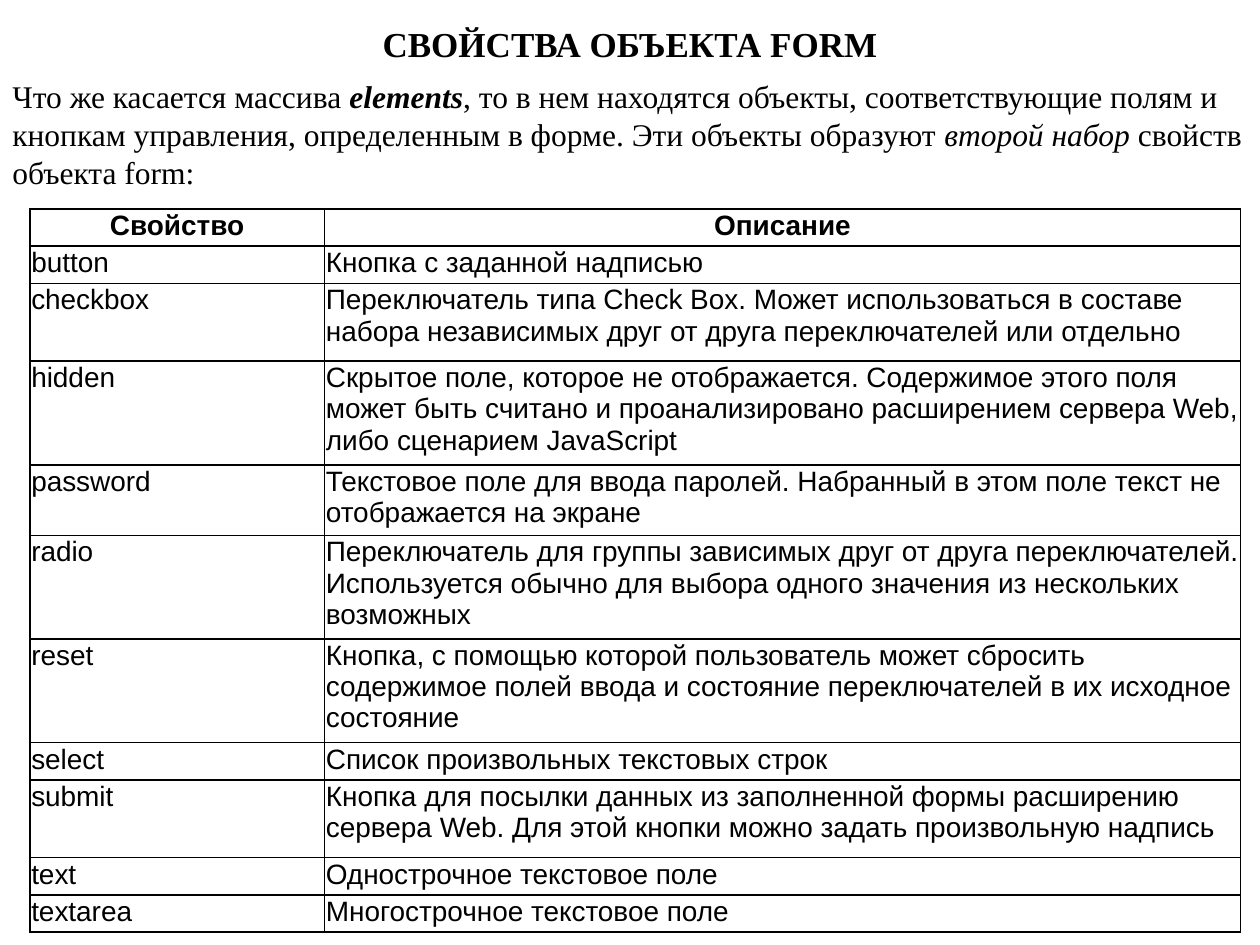
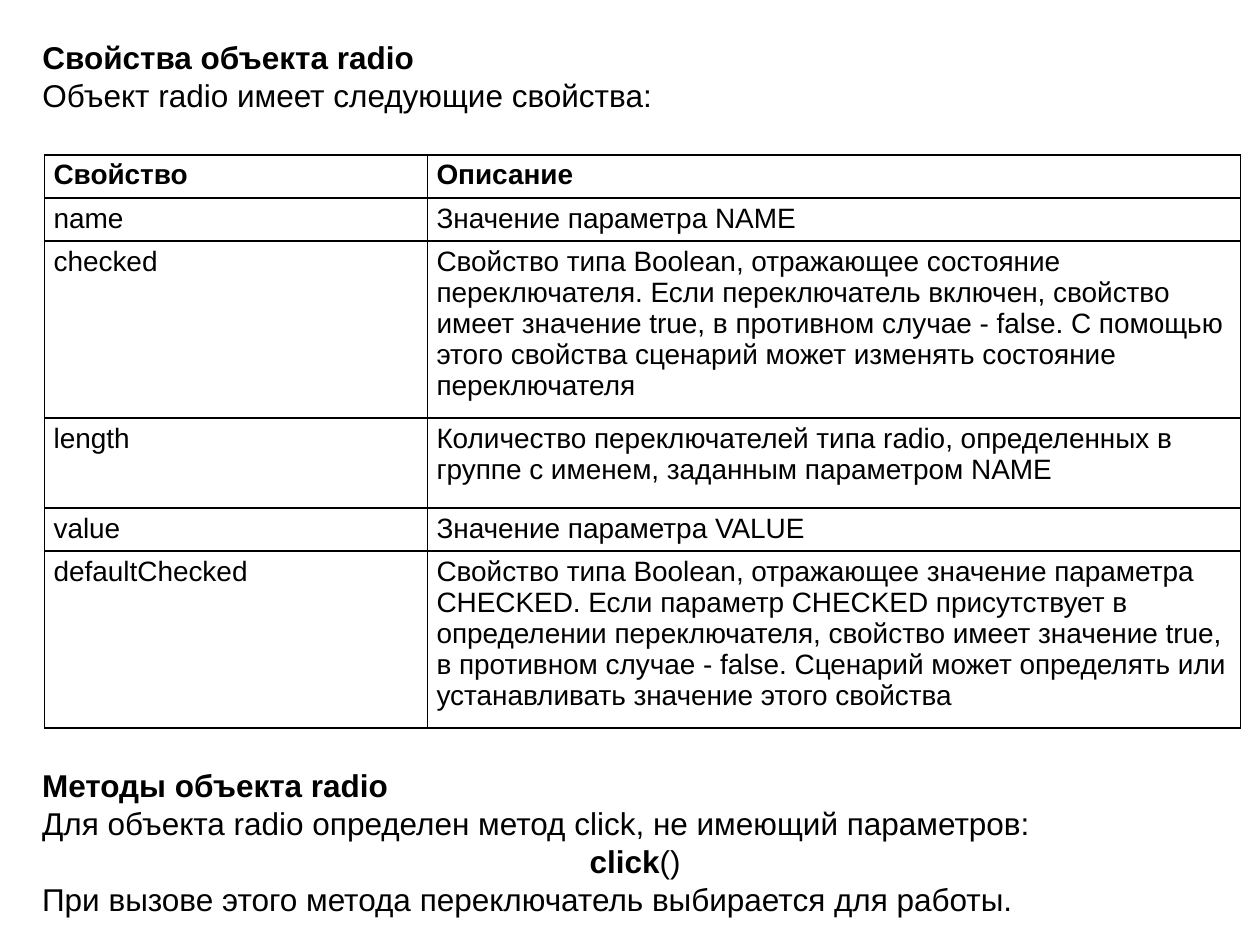
"""Build two slides on the properties of the form and radio objects."""
from lxml.etree import SubElement
from pptx import Presentation
from pptx.dml.color import RGBColor as RGB
from pptx.enum.text import MSO_ANCHOR as Anchor, MSO_AUTO_SIZE as AutoSize, PP_ALIGN as Align
from pptx.oxml.ns import qn
from pptx.util import Cm, Pt

COLORS = {"text": "000000", "border": "000000", "page": "FFFFFF"}
SERIF, SANS = "Times New Roman", "Arial"
TITLE_ONLY = 5

FORM_ROWS = [
    ("Свойство", "Описание"),
    ("button", "Кнопка с заданной надписью"),
    ("checkbox", "Переключатель типа Check Box. Может использоваться в составе набора "
                 "независимых друг от друга переключателей или отдельно"),
    ("hidden", "Скрытое поле, которое не отображается. Содержимое этого поля может быть "
               "считано и проанализировано расширением сервера Web, либо сценарием JavaScript"),
    ("password", "Текстовое поле для ввода паролей. Набранный в этом поле текст "
                 "не отображается на экране"),
    ("radio", "Переключатель для группы зависимых друг от друга переключателей. "
              "Используется обычно для выбора одного значения из нескольких возможных"),
    ("reset", "Кнопка, с помощью которой пользователь может сбросить содержимое полей ввода "
              "и состояние переключателей в их исходное состояние"),
    ("select", "Список произвольных текстовых строк"),
    ("submit", "Кнопка для посылки данных из заполненной формы расширению сервера Web. "
               "Для этой кнопки можно задать произвольную надпись"),
    ("text", "Однострочное текстовое поле"),
    ("textarea", "Многострочное текстовое поле"),
]
RADIO_ROWS = [
    ("Свойство", "Описание"),
    ("name", "Значение параметра NAME"),
    ("checked", "Свойство типа Boolean, отражающее состояние переключателя. Если переключатель "
                "включен, свойство имеет значение true, в противном случае - false. С помощью "
                "этого свойства сценарий может изменять состояние переключателя"),
    ("length", "Количество переключателей типа radio, определенных в группе с именем, "
               "заданным параметром NAME"),
    ("value", "Значение параметра VALUE"),
    ("defaultChecked", "Свойство типа Boolean, отражающее значение параметра CHECKED. Если "
                       "параметр CHECKED присутствует в определении переключателя, свойство "
                       "имеет значение true, в противном случае - false. Сценарий может "
                       "определять или устанавливать значение этого свойства"),
]


class Deck:
    """Hold the presentation, its style and the current slide."""

    def __init__(self):
        self.prs = Presentation()
        self.prs.slide_width, self.prs.slide_height = Cm(25.4), Cm(19.05)
        self.slide = None

    def new_slide(self):
        self.slide = self.prs.slides.add_slide(self.prs.slide_layouts[TITLE_ONLY])
        fill = self.slide.background.fill
        fill.solid()
        fill.fore_color.rgb = RGB.from_string(COLORS["page"])

    def paragraph(self, p, runs, size, font, align=Align.LEFT):
        p.alignment = align
        p.font.size, p.font.name = Pt(size), font
        p.font.color.rgb = RGB.from_string(COLORS["text"])
        for text, style in runs:
            r = p.add_run()
            r.text = text
            r.font.bold, r.font.italic = "b" in style, "i" in style

    def fill_text(self, sp, box, paragraphs, size, font):
        sp.left, sp.top, sp.width, sp.height = map(Cm, box)
        tf = sp.text_frame
        tf.word_wrap, tf.auto_size = True, AutoSize.NONE
        tf.vertical_anchor = Anchor.TOP
        for i, (align, runs) in enumerate(paragraphs):
            p = tf.add_paragraph() if i else tf.paragraphs[0]
            self.paragraph(p, runs, size, font, align)

    def title(self, box, paragraphs, size, font):
        self.fill_text(self.slide.shapes.title, box, paragraphs, size, font)

    def text(self, box, paragraphs, size, font):
        sp = self.slide.shapes.add_textbox(0, 0, 0, 0)
        self.fill_text(sp, box, paragraphs, size, font)

    def border(self, cell):
        tc_pr = cell._tc.get_or_add_tcPr()
        for side in ("lnL", "lnR", "lnT", "lnB"):
            ln = SubElement(tc_pr, qn(f"a:{side}"), w=str(Pt(1)))
            fill = SubElement(ln, qn("a:solidFill"))
            SubElement(fill, qn("a:srgbClr"), val=COLORS["border"])

    def table(self, left, top, widths, heights, rows, margins, head_align):
        frame = self.slide.shapes.add_table(
            len(rows), len(widths), Cm(left), Cm(top), Cm(sum(widths)), Cm(sum(heights)))
        tbl = frame.table
        tbl.first_row = tbl.horz_banding = False
        for col, width in zip(tbl.columns, widths):
            col.width = Cm(width)
        side, edge = map(Cm, margins)
        for i, (row, height) in enumerate(zip(rows, heights)):
            tbl.rows[i].height = Cm(height)
            for j, text in enumerate(row):
                cell = tbl.cell(i, j)
                cell.margin_left = cell.margin_right = side
                cell.margin_top = cell.margin_bottom = edge
                self.border(cell)
                cell.fill.background()
                self.paragraph(cell.text_frame.paragraphs[0], [(text, "" if i else "b")],
                               16, SANS, Align.LEFT if i else head_align)


def form_slide(deck):
    deck.new_slide()
    deck.title((0, 0.33, 25.4, 1.11),
               [(Align.CENTER, [("СВОЙСТВА ОБЪЕКТА FORM", "b")])], 20, SERIF)
    deck.text((0, 1.43, 25.4, 2.56), [(Align.LEFT, [
        ("Что же касается массива ", ""),
        ("elements", "bi"),
        (", то в нем находятся объекты, соответствующие полям и кнопкам управления, "
         "определенным в форме. Эти объекты образуют ", ""),
        ("второй набор ", "i"),
        ("свойств объекта form:", ""),
    ])], 18, SERIF)
    one, two, three = 0.75, 1.57, 2.09
    heights = [one, one, two, three, 1.42, three, three, one, two, one, one]
    deck.table(0.6, 4.21, (5.94, 18.47), heights, FORM_ROWS, (0.03, 0.03), Align.CENTER)


def radio_slide(deck):
    deck.new_slide()
    deck.title((0.6, 0.64, 24.41, 1.8), [
        (Align.LEFT, [("Свойства объекта radio", "b")]),
        (Align.LEFT, [("Объект radio имеет следующие свойства:", "")]),
    ], 18, SANS)
    one, five = 0.87, 3.57
    deck.table(0.9, 3.12, (7.72, 16.39), [one, one, five, 1.81, one, five],
               RADIO_ROWS, (0.18, 0.1), Align.LEFT)
    deck.text((0.6, 15.32, 24.41, 3.33), [
        (Align.LEFT, [("Методы объекта radio", "b")]),
        (Align.LEFT, [("Для объекта radio определен метод click, не имеющий параметров:", "")]),
        (Align.CENTER, [("click", "b"), ("()", "")]),
        (Align.LEFT, [("При вызове этого метода переключатель выбирается для работы.", "")]),
    ], 18, SANS)


def main():
    deck = Deck()
    form_slide(deck)
    radio_slide(deck)
    deck.prs.save("out.pptx")


if __name__ == "__main__":
    main()
